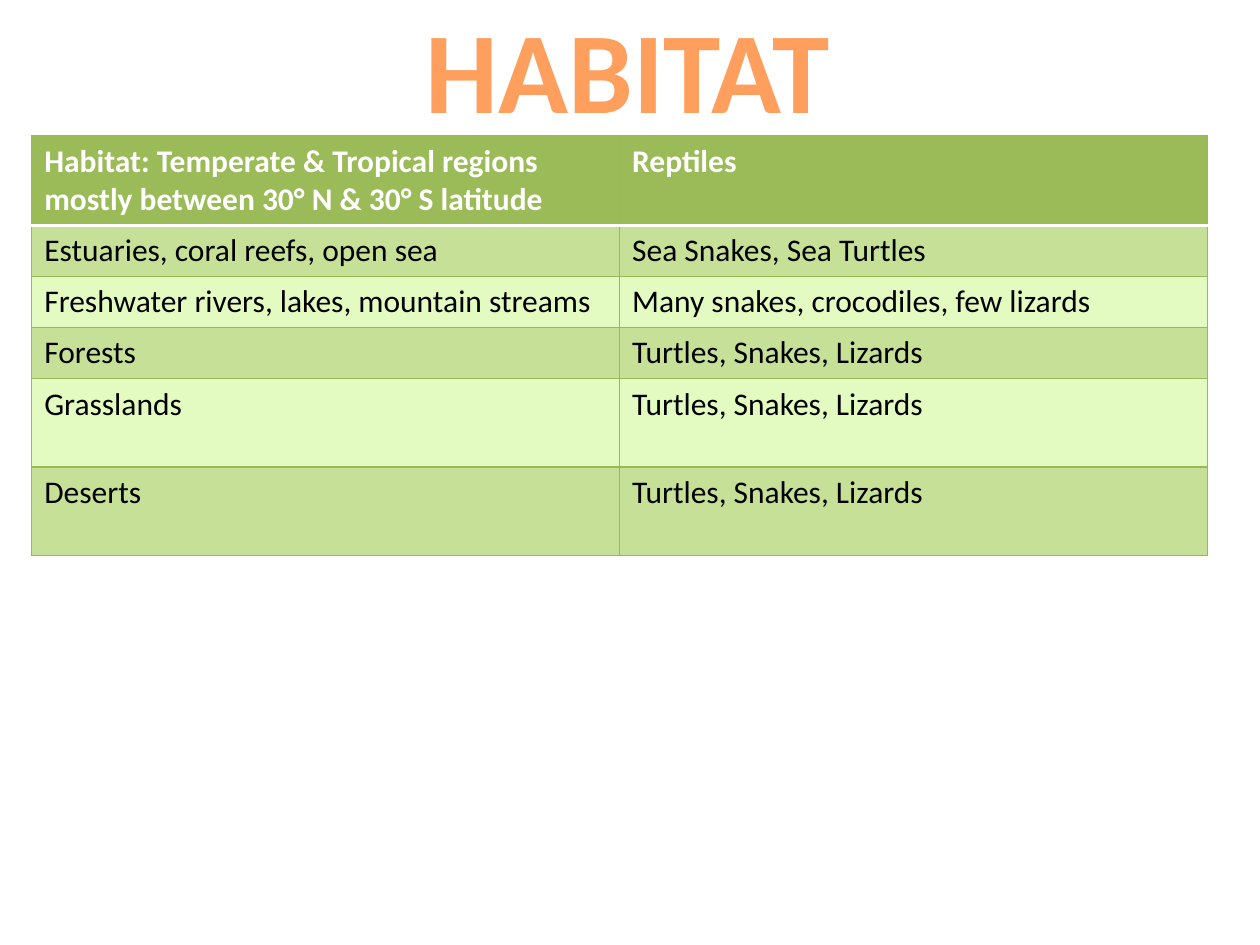
"""Build the reptile habitat slide with its title and table."""
from dataclasses import dataclass

from lxml.etree import SubElement
from pptx import Presentation
from pptx.dml.color import RGBColor
from pptx.enum.text import MSO_ANCHOR, MSO_AUTO_SIZE, PP_ALIGN
from pptx.oxml.ns import qn
from pptx.util import Cm, Pt

COLORS = {
    "title": "FF9F5D",
    "header": "9BBB59",
    "dark band": "C6E197",
    "light band": "E3FBC1",
    "border": "98B955",
    "white": "FFFFFF",
    "black": "000000",
}
FONT = "Calibri"
SINGLE, DOUBLE = 1.03, 1.78


@dataclass
class HabitatRow:
    habitat: str
    reptiles: str
    height: float = SINGLE


ROWS = [
    HabitatRow("Habitat: Temperate & Tropical regions mostly between 30° N & 30° S latitude", "Reptiles", DOUBLE),
    HabitatRow("Estuaries, coral reefs, open sea", "Sea Snakes, Sea Turtles"),
    HabitatRow("Freshwater rivers, lakes, mountain streams", "Many snakes, crocodiles, few lizards"),
    HabitatRow("Forests", "Turtles, Snakes, Lizards"),
    HabitatRow("Grasslands", "Turtles, Snakes, Lizards", DOUBLE),
    HabitatRow("Deserts", "Turtles, Snakes, Lizards", DOUBLE),
]


def color(name: str) -> RGBColor:
    return RGBColor.from_string(COLORS[name])


def set_border(cell, side: str, name: str, width: float) -> None:
    properties = cell._tc.get_or_add_tcPr()
    line = SubElement(properties, qn(f"a:ln{side}"), w=str(Pt(width)))
    fill = SubElement(line, qn("a:solidFill"))
    SubElement(fill, qn("a:srgbClr"), val=COLORS[name])


def fill_cell(cell, text: str, row: int) -> None:
    is_header = row == 0
    for side in "LRTB":
        edge = (side == "B" and row == 0) or (side == "T" and row == 1)
        set_border(cell, side, "white" if edge else "border", 2 if edge else 0.75)
    band = "header" if is_header else "dark band" if row % 2 else "light band"
    cell.fill.solid()
    cell.fill.fore_color.rgb = color(band)
    cell.text = text
    font = cell.text_frame.paragraphs[0].font
    font.name, font.size, font.bold = FONT, Pt(18), is_header
    font.color.rgb = color("white" if is_header else "black")


def add_title(page) -> None:
    title = page.shapes.title
    title.left, title.top, title.width, title.height = Cm(8.33), Cm(-0.38), Cm(13.16), Cm(3.33)
    frame = title.text_frame
    frame.auto_size, frame.word_wrap = MSO_AUTO_SIZE.NONE, False
    frame.vertical_anchor = MSO_ANCHOR.TOP
    para = frame.paragraphs[0]
    para.alignment = PP_ALIGN.LEFT
    para.font.name, para.font.bold = FONT, True
    para.font.color.rgb = color("title")
    for text, size in (("HABITAT", 66), (" ", 72)):
        span = para.add_run()
        span.text = text
        span.font.name, span.font.size, span.font.bold = FONT, Pt(size), True
        span.font.color.rgb = color("title")


def add_habitat_table(page) -> None:
    height = sum(row.height for row in ROWS)
    table = page.shapes.add_table(len(ROWS), 2, Cm(0.64), Cm(2.74), Cm(23.7), Cm(height)).table
    table.first_row = True
    table.horz_banding = False
    for index, row in enumerate(ROWS):
        table.rows[index].height = Cm(row.height)
        for column, text in enumerate((row.habitat, row.reptiles)):
            fill_cell(table.cell(index, column), text, index)


deck = Presentation()
deck.slide_width, deck.slide_height = Cm(25.4), Cm(19.05)
page = deck.slides.add_slide(deck.slide_layouts[5])
add_title(page)
add_habitat_table(page)
deck.save("out.pptx")
